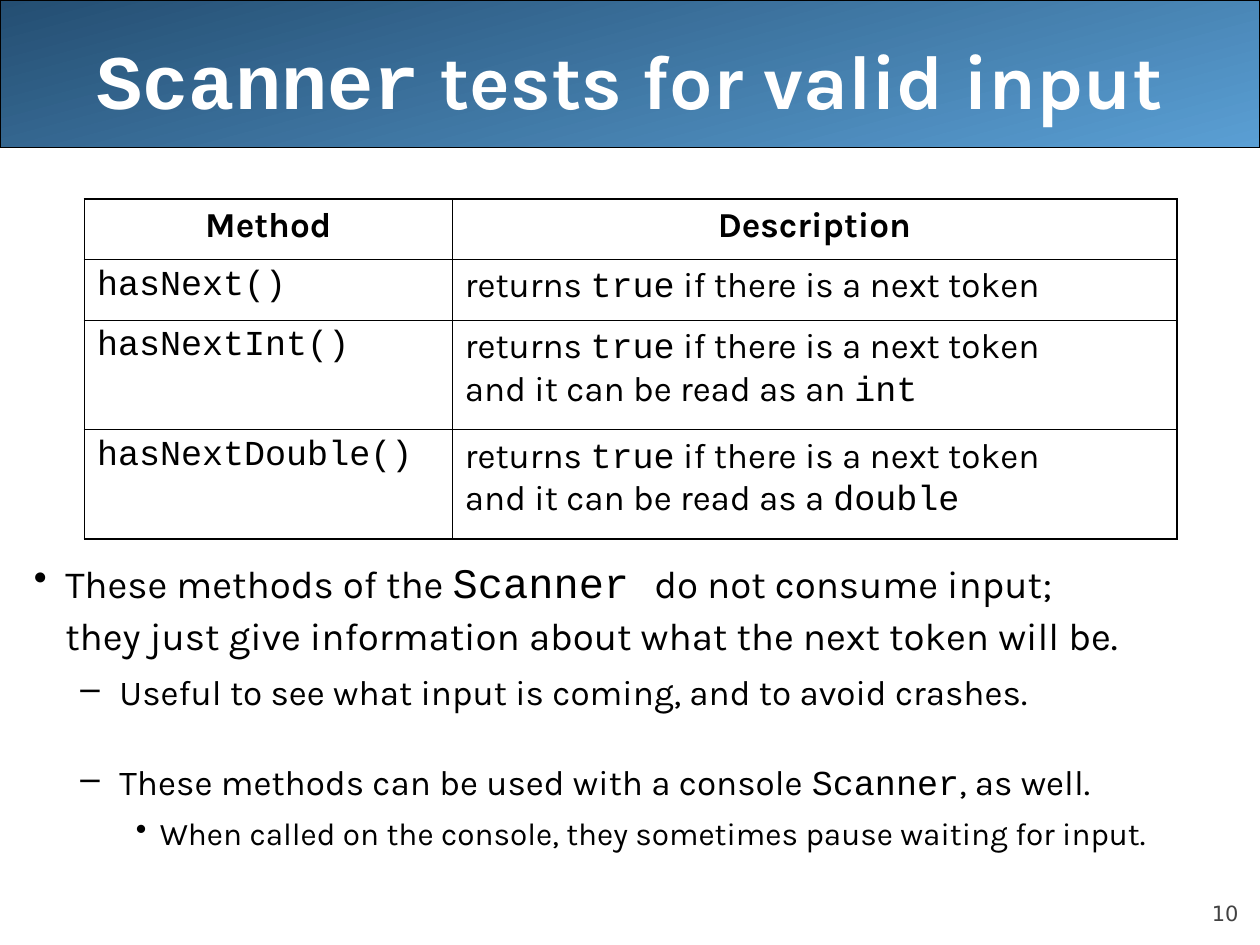
from lxml.etree import SubElement
from pptx import Presentation
from pptx.dml.color import RGBColor
from pptx.enum.shapes import MSO_SHAPE as Shape
from pptx.enum.text import MSO_ANCHOR as Anchor, PP_ALIGN as Align
from pptx.oxml.ns import qn
from pptx.util import Inches, Pt

BLACK = RGBColor(0x00, 0x00, 0x00)
WHITE = RGBColor(0xFF, 0xFF, 0xFF)
GREY = RGBColor(0x42, 0x42, 0x42)
NAVY = RGBColor(0x24, 0x4E, 0x72)
SKY = RGBColor(0x5A, 0x9F, 0xD4)
BODY_FONT, CODE_FONT, NUMBER_FONT = "Karla", "Courier New", "DejaVu Sans"

# Content: words between backticks are set in the code font
TITLE = "`Scanner` tests for valid input"
PAGE_NUMBER = "10"
METHODS = [
    ("Method", "Description"),
    ("`hasNext()`", "returns `true` if there is a next token"),
    ("`hasNextInt()`",
     "returns `true` if there is a next token\nand it can be read as an `int`"),
    ("`hasNextDouble()`",
     "returns `true` if there is a next token\nand it can be read as a `double`"),
]
COLUMN_WIDTHS = (2.92, 5.75)
ROW_HEIGHTS = (0.48, 0.48, 0.87, 0.87)
OUTER_LINE, INNER_LINE = 1.08, 0.45

# (level, space before, text)
NOTES = [
    (0, 0, "These methods of the `Scanner `do not consume input;\n"
           "they just give information about what the next token will be."),
    (1, 5, "Useful to see what input is coming, and to avoid crashes."),
    (1, 25, "These methods can be used with a console `Scanner`, as well."),
    (2, 4.5, "When called on the console, they sometimes pause waiting for input."),
]
# Per level: bullet, left margin, hanging indent, text size, code size
LEVELS = [("•", 0.25, 0.25, 22, 24), ("–", 0.68, 0.31, 20, 20), ("•", 1, 0.19, 18, 18)]


def write(paragraph, text, size, code_size=None, color=BLACK, bold=False, font=BODY_FONT):
    for index, part in enumerate(text.split("`")):
        is_code = index % 2 == 1
        look = {"name": CODE_FONT if is_code else font,
                "size": Pt(code_size or size) if is_code else Pt(size),
                "bold": bold}
        for number, line in enumerate(part.split("\n")):
            if number:
                paragraph.add_line_break()
            if line:
                run = paragraph.add_run()
                run.text = line
                for key, value in look.items():
                    setattr(run.font, key, value)
                run.font.color.rgb = color


def add_text_frame(slide, left, top, width, height, **settings):
    box = slide.shapes.add_textbox(Inches(left), Inches(top), Inches(width), Inches(height))
    for key, value in {"word_wrap": True, **settings}.items():
        setattr(box.text_frame, key, value)
    return box.text_frame


def add_bullet(paragraph, char, margin, hanging):
    props = paragraph._p.get_or_add_pPr()
    props.set("marL", str(Inches(margin)))
    props.set("indent", str(-Inches(hanging)))
    bullet_color = SubElement(props, qn("a:buClr"))
    SubElement(bullet_color, qn("a:srgbClr"), val=str(BLACK))
    SubElement(props, qn("a:buChar"), char=char)


def add_border(cell, side, width):
    line = SubElement(cell._tc.get_or_add_tcPr(), qn(f"a:ln{side}"), w=str(Pt(width)))
    fill = SubElement(line, qn("a:solidFill"))
    SubElement(fill, qn("a:srgbClr"), val=str(BLACK))


prs = Presentation()
prs.slide_width, prs.slide_height = Inches(10), Inches(7.5)
slide = prs.slides.add_slide(prs.slide_layouts[6])

# Title band
band = slide.shapes.add_shape(Shape.ROUNDED_RECTANGLE, 0, 0, Inches(10), Inches(1.17))
band.adjustments[0] = 0
band.shadow.inherit = False
band.fill.gradient()
band.fill.gradient_angle = 285
for stop, color in zip(band.fill.gradient_stops, (NAVY, SKY)):
    stop.color.rgb = color
band.line.color.rgb = BLACK
band.line.width = Pt(0.75)

# Title
title = add_text_frame(slide, 0.5, 0, 9, 1.25, vertical_anchor=Anchor.MIDDLE).paragraphs[0]
title.alignment = Align.CENTER
write(title, TITLE, 44, color=WHITE, bold=True)

# Notes under the table
notes = add_text_frame(slide, 0.17, 4.33, 9.83, 2.76)
for index, (level, space, text) in enumerate(NOTES):
    note = notes.add_paragraph() if index else notes.paragraphs[0]
    bullet, margin, hanging, size, code_size = LEVELS[level]
    note.level = level
    note.line_spacing = 1.1
    note.space_before = Pt(space)
    add_bullet(note, bullet, margin, hanging)
    write(note, text, size, code_size)

# Method table
methods = slide.shapes.add_table(
    len(METHODS), len(COLUMN_WIDTHS), Inches(0.67), Inches(1.58),
    Inches(sum(COLUMN_WIDTHS)), Inches(sum(ROW_HEIGHTS))).table
methods.first_row = methods.horz_banding = False
for column, width in zip(methods.columns, COLUMN_WIDTHS):
    column.width = Inches(width)
for row, height in zip(methods.rows, ROW_HEIGHTS):
    row.height = Inches(height)

last_row, last_column = len(METHODS) - 1, len(COLUMN_WIDTHS) - 1
for r, texts in enumerate(METHODS):
    for c, text in enumerate(texts):
        cell = methods.cell(r, c)
        outer_sides = {"L": c == 0, "R": c == last_column, "T": r == 0, "B": r == last_row}
        for side, is_outer in outer_sides.items():
            add_border(cell, side, OUTER_LINE if is_outer else INNER_LINE)
        cell.fill.background()
        entry = cell.text_frame.paragraphs[0]
        entry.alignment = Align.LEFT if r else Align.CENTER
        write(entry, text, 20, bold=r == 0)

# Page number
number = add_text_frame(
    slide, 9, 6.95, 0.83, 0.4, vertical_anchor=Anchor.BOTTOM,
    margin_left=0, margin_right=0, margin_top=0, margin_bottom=0).paragraphs[0]
number.alignment = Align.RIGHT
write(number, PAGE_NUMBER, 12, color=GREY, font=NUMBER_FONT)

prs.save("out.pptx")
